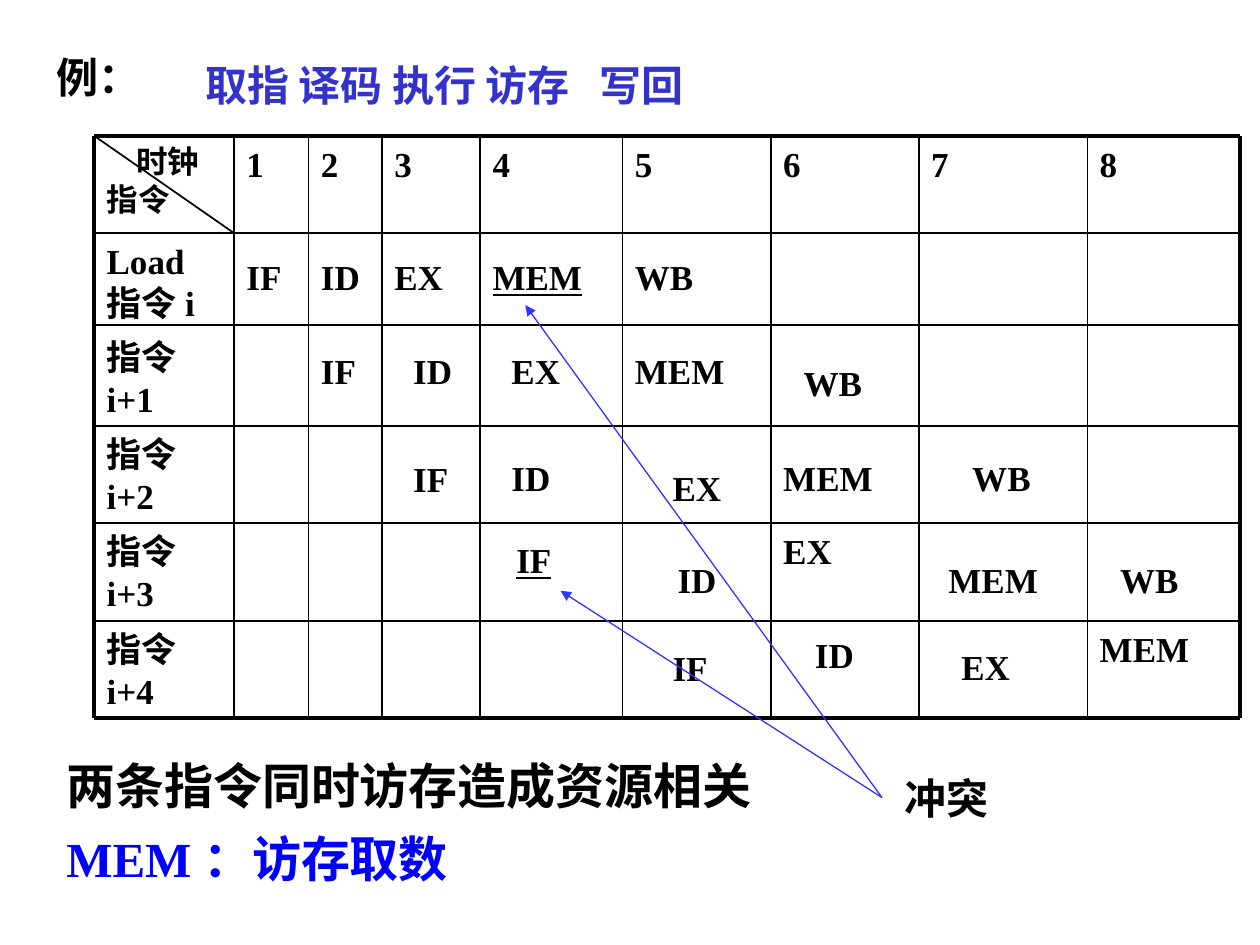
from dataclasses import dataclass

from lxml.etree import SubElement
from pptx import Presentation
from pptx.dml.color import RGBColor
from pptx.enum.shapes import MSO_CONNECTOR as Connector
from pptx.oxml.ns import qn
from pptx.util import Cm, Pt


@dataclass(frozen=True)
class Theme:
    font: str = "Times New Roman"
    black: str = "000000"
    blue: str = "0000FF"
    stage_blue: str = "3333CC"
    arrow_blue: str = "3333FF"
    head: int = 18
    cell: int = 20
    label: int = 24
    body: int = 28
    frame: float = 2.25
    rule: float = 1
    arrow: float = 0.75


theme = Theme()


def add_text(shapes, left, top, width, height, lines, size,
             color=theme.black, underline=False):
    """Add a text box with one bold paragraph per line; return its paragraphs."""
    box = shapes.add_textbox(Cm(left), Cm(top), Cm(width), Cm(height))
    frame = box.text_frame
    frame.word_wrap = True
    style = {"name": theme.font, "size": Pt(size), "bold": True, "underline": underline}
    for number, line in enumerate(lines):
        para = frame.add_paragraph() if number else frame.paragraphs[0]
        span = para.add_run()
        span.text = line
        for name, value in style.items():
            setattr(span.font, name, value)
        span.font.color.rgb = RGBColor.from_string(color)
    return frame.paragraphs


def add_line(shapes, start, end, weight, color=theme.black, arrow=False):
    """Add a straight line, with an arrowhead at its end if asked."""
    points = [Cm(value) for value in (*start, *end)]
    connector = shapes.add_connector(Connector.STRAIGHT, *points)
    connector.line.width = Pt(weight)
    connector.line.color.rgb = RGBColor.from_string(color)
    properties = connector._element.spPr
    if arrow:
        SubElement(properties.find(qn("a:ln")), qn("a:tailEnd"), type="triangle")
    SubElement(properties, qn("a:effectLst"))


deck = Presentation()
deck.slide_width, deck.slide_height = Cm(25.4), Cm(19.05)
page = deck.slides.add_slide(deck.slide_layouts[6])

# Conclusion below the grid
conclusion = add_text(page.shapes, 1.09, 15.11, 19.69, 3.23,
                      ["两条指令同时访存造成资源相关", "MEM：访存取数"], theme.body)
conclusion[1].space_before = Pt(8)
conclusion[1].runs[0].font.color.rgb = RGBColor.from_string(theme.blue)

# Pipeline grid: edges of columns and rows
columns = [1.9, 4.72, 6.22, 7.7, 9.68, 12.55, 15.54, 18.52, 21.92, 24.99]
rows = [2.74, 4.7, 6.55, 8.59, 10.54, 12.52, 14.48]
widths = [right - left for left, right in zip(columns, columns[1:])]
cell_height = 1.96
grid = page.shapes.add_group_shape().shapes

# Header row: corner cell and clock cycles
corner = add_text(grid, columns[0], rows[0], widths[0], cell_height,
                  ["时钟", "指令"], theme.head)
corner[0]._p.get_or_add_pPr().set("marL", str(Cm(0.6)))
for cycle in range(1, 9):
    add_text(grid, columns[cycle], rows[0], widths[cycle], cell_height,
             [str(cycle)], theme.cell)

# Each instruction starts one cycle later; pairs shift a stage within its cell
stages = ["IF", "ID", "EX", "MEM", "WB"]
instructions = [
    (["Load指令i"], 4.7, [(0, 0.33)] * 5),
    (["指令", "i+1"], 6.63, [(0, 0.3), (0.38, 0.3), (0.38, 0.3), (0, 0.3), (0.41, 0.53)]),
    (["指令", "i+2"], 8.59, [(0.38, 0.5), (0.38, 0.48), (0.76, 0.68), (0, 0.48), (0.83, 0.48)]),
    (["指令", "i+3"], 10.54, [(0.48, 0.2), (0.86, 0.59), (0, 0), (0.35, 0.59), (0.41, 0.59)]),
    (["指令", "i+4"], 12.52, [(0.76, 0.38), (0.64, 0.13), (0.61, 0.36), (0, 0)]),
]
conflicts = {(0, "MEM"), (3, "IF")}
for row, (label, top, shifts) in enumerate(instructions):
    add_text(grid, columns[0], top, widths[0], cell_height, label, theme.cell)
    for column, (stage, (across, down)) in enumerate(zip(stages, shifts), row + 1):
        add_text(grid, columns[column] + across, top + down, widths[column],
                 cell_height, [stage], theme.cell,
                 underline=(row, stage) in conflicts)

# Grid lines, heavier on the outside, and the corner diagonal
for y in rows:
    weight = theme.frame if y in (rows[0], rows[-1]) else theme.rule
    add_line(grid, (columns[0], y), (columns[-1], y), weight)
for x in columns:
    weight = theme.frame if x in (columns[0], columns[-1]) else theme.rule
    add_line(grid, (x, rows[0]), (x, rows[-1]), weight)
add_line(grid, (columns[0], rows[0]), (columns[1], rows[1]), theme.rule)

# Arrows from the conflict label to both memory accesses
for target in [(10.59, 6.15), (11.3, 11.91)]:
    add_line(page.shapes, (17.78, 16.08), target, theme.arrow, theme.arrow_blue, arrow=True)
add_text(page.shapes, 17.98, 15.44, 3.61, 1.27, ["冲突"], theme.label)

# Heading: stage names, the last one set off by a tab
heading = add_text(page.shapes, 3.89, 1.07, 14.86, 1.27,
                   ["取指 译码 执行 访存\t写回"], theme.label, theme.stage_blue)
tabs = SubElement(heading[0]._p.get_or_add_pPr(), qn("a:tabLst"))
SubElement(tabs, qn("a:tab"), pos=str(Cm(7.95)), algn="l")
add_text(page.shapes, 0.89, 0.91, 3.45, 1.27, ["例："], theme.label)

deck.save("out.pptx")
